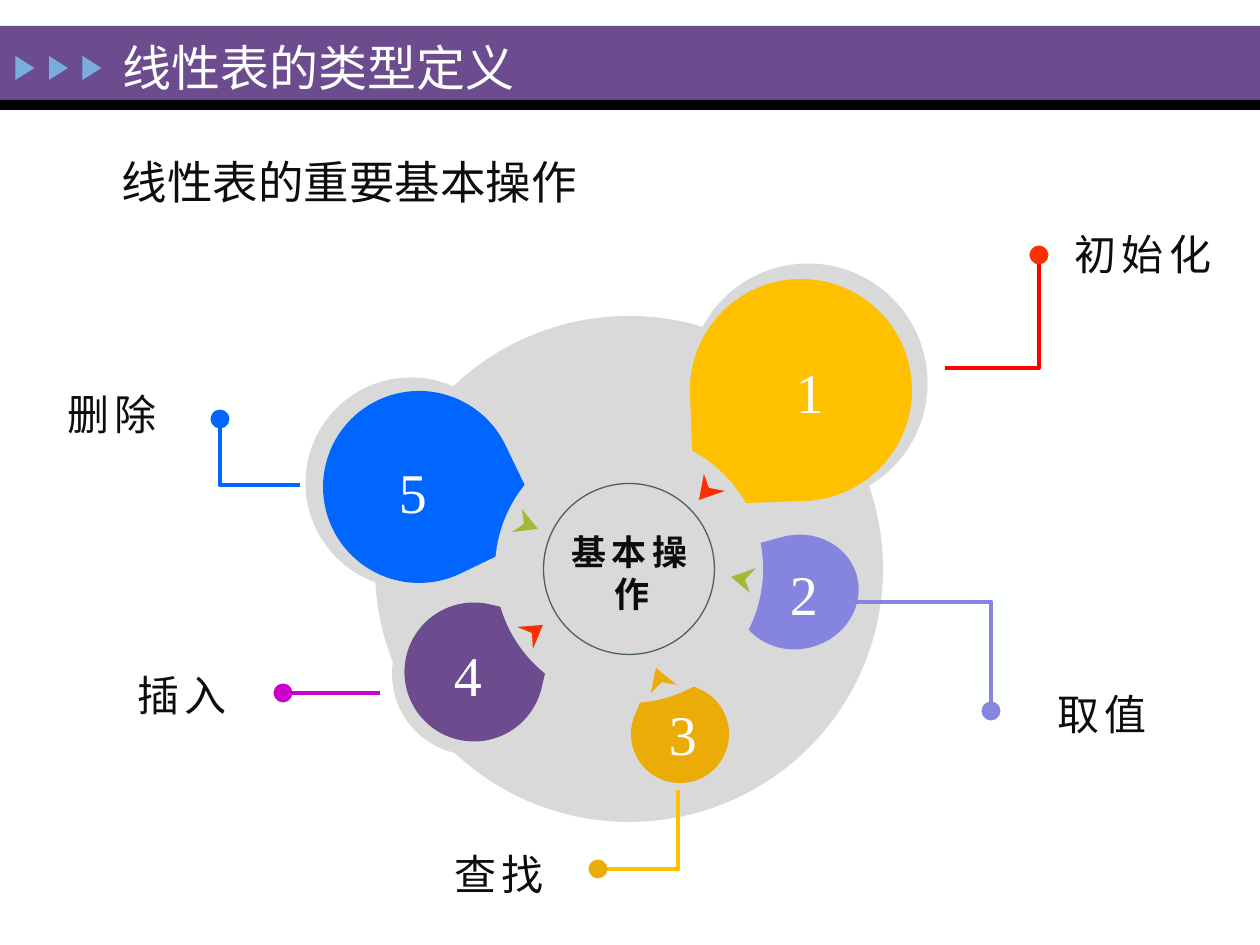
from collections import namedtuple
from dataclasses import dataclass

from lxml import etree
from pptx import Presentation
from pptx.dml.color import RGBColor
from pptx.enum.shapes import MSO_CONNECTOR, MSO_SHAPE
from pptx.enum.text import MSO_ANCHOR, MSO_AUTO_SIZE, PP_ALIGN
from pptx.oxml.ns import qn
from pptx.util import Pt

RECT, OVAL, TRIANGLE = MSO_SHAPE.RECTANGLE, MSO_SHAPE.OVAL, MSO_SHAPE.ISOSCELES_TRIANGLE
TEAR = MSO_SHAPE.TEAR
STRAIGHT = MSO_CONNECTOR.STRAIGHT
LEFT, CENTER = PP_ALIGN.LEFT, PP_ALIGN.CENTER
MIDDLE, TOP = MSO_ANCHOR.MIDDLE, MSO_ANCHOR.TOP
FIT_SHAPE, NO_FIT = MSO_AUTO_SIZE.SHAPE_TO_FIT_TEXT, MSO_AUTO_SIZE.NONE


@dataclass(frozen=True)
class Theme:
    font: str = "Times New Roman"
    paper: str = "FEFFFF"
    ink: str = "0D0D0D"
    white: str = "FFFFFF"
    band: str = "6C4C8F"
    rule: str = "000000"
    marker: str = "76AEDD"
    disc: str = "D9D9D9"
    core_line: str = "4C6062"
    title: int = 28
    body: int = 26
    label: int = 24
    number: int = 32
    core: int = 20


THEME = Theme()
Box = namedtuple("Box", "x y w h")
Drop = namedtuple("Drop", "center w h rotation color")
Callout = namedtuple("Callout", "text center width leader line dot weight")

HALOS = [
    Drop((179, -186), 239, 239, 177.6, THEME.disc),
    Drop((-218, -86), 211, 211, 64.7, THEME.disc),
    Drop((-156, 105), 162, 162, 8.5, THEME.disc),
]
PETALS = [
    Drop((172, -179), 222, 222, 177.9, "FFC000"),
    Drop((168, 23), 114, 124, 254.7, "8585E0"),
    Drop((51, 165), 98, 98, 293, "EBAC07"),
    Drop((-155, 103), 139, 139, 13.2, "6C4C8F"),
    Drop((-210, -82), 192, 192, 64.2, "0066FF"),
]
NUMBER_CENTERS = [(181, -178), (175, 24), (54, 163), (-161, 105), (-216, -78)]
ARROWS = [
    ([(96, -78), (70, -69), (75, -95), (80, -81)], "F83003"),
    ([(121, 24), (102, 8), (127, -1), (116, 11)], "A2B932"),
    ([(22, 124), (27, 99), (48, 116), (33, 113)], "EBAC07"),
    ([(-112, 58), (-86, 56), (-96, 80), (-97, 64)], "F83003"),
    ([(-107, -60), (-91, -40), (-117, -37), (-105, -45)], "A2B932"),
]
CALLOUTS = [
    Callout("初始化", (514, -316), 178, [(316, -201), (410, -201), (410, -314)],
            "FF0000", "F83003", 2.5),
    Callout("取值", (473, 145), 130, [(192, 33), (362, 33), (362, 142)],
            "8585E0", "8585E0", 2.5),
    Callout("查找", (-130, 305), 130, [(49, 221), (49, 300), (-31, 300)],
            "FFC000", "EBAC07", 2.5),
    Callout("插入", (-447, 126), 130, [(-249, 124), (-346, 124)],
            "CC00CC", "CC00CC", 2.25),
    Callout("删除", (-517, -155), 130, [(-329, -84), (-409, -84), (-409, -150)],
            "0066FF", "0066FF", 2.5),
]


def px(length):
    return round(length * 914400 / 126)


def rgb(color):
    return RGBColor.from_string(color)


def place(shape, box):
    shape.left, shape.top, shape.width, shape.height = map(px, box)


def centered(center, width, height):
    return Box(center[0] - width / 2, center[1] - height / 2, width, height)


def paint(shape, fill=None, line=None, weight=0):
    shape.shadow.inherit = False
    if fill:
        shape.fill.solid()
        shape.fill.fore_color.rgb = rgb(fill)
    else:
        shape.fill.background()
    if line:
        shape.line.color.rgb = rgb(line)
        shape.line.width = Pt(weight)
    else:
        shape.line.fill.background()


def add_preset(slide, kind, box, rotation=0, **colors):
    shape = slide.shapes.add_shape(kind, *map(px, box))
    shape.rotation = rotation
    paint(shape, **colors)


def add_outline(slide, points, close=True, **colors):
    start, *others = [(px(x), px(y)) for x, y in points]
    builder = slide.shapes.build_freeform(*start)
    builder.add_line_segments(others, close=close)
    paint(builder.convert_to_shape(), **colors)


def add_run(paragraph, text, size, color, bold=False, spacing=0):
    run = paragraph.add_run()
    run.text = text
    run.font.name, run.font.size, run.font.bold = THEME.font, Pt(size), bold
    run.font.color.rgb = rgb(color)
    if spacing:
        run.font._element.set("spc", str(spacing * 100))


def add_label(slide, text, box, size, color, bold=False, wrap=False):
    frame = slide.shapes.add_textbox(*map(px, box)).text_frame
    frame.word_wrap, frame.auto_size = wrap, FIT_SHAPE
    frame.margin_left = frame.margin_right = px(16)
    frame.margin_top = frame.margin_bottom = px(9)
    frame.paragraphs[0].alignment = CENTER
    add_run(frame.paragraphs[0], text, size, color, bold, spacing=3)


def fill_placeholder(placeholder, box, text, size, color, anchor):
    place(placeholder, box)
    frame = placeholder.text_frame
    frame.vertical_anchor, frame.auto_size = anchor, NO_FIT
    paragraph = frame.paragraphs[0]
    paragraph.alignment = LEFT
    add_run(paragraph, text, size, color)
    return paragraph


def header(slide, box, text):
    add_preset(slide, RECT, Box(box.x, box.y, box.w, 74), fill=THEME.band)
    add_preset(slide, RECT, Box(box.x, box.y + 74, box.w, 10), fill=THEME.rule)
    for i in range(3):
        marker = centered((box.x + 25 + 33.5 * i, box.y + 42), 24, 19)
        add_preset(slide, TRIANGLE, marker, rotation=90, fill=THEME.marker)
    title = slide.shapes.title
    fill_placeholder(title, Box(box.x + 110, box.y - 6, 848, 94), text,
                     THEME.title, THEME.paper, MIDDLE)
    slide.shapes._spTree.append(title._element)  # in front of the band


def subtitle(slide, box, text):
    paragraph = fill_placeholder(slide.placeholders[1], box, text, THEME.body, THEME.ink, TOP)
    paragraph.level = 1
    paragraph.space_before = Pt(5)
    properties = paragraph._p.get_or_add_pPr()
    properties.set("marL", str(px(102)))
    properties.set("indent", str(-px(39)))
    etree.SubElement(properties, qn("a:buNone"))


def add_leader(slide, points, color, weight):
    if len(points) > 2:
        add_outline(slide, points, close=False, line=color, weight=weight)
        return
    leader = slide.shapes.add_connector(STRAIGHT, *(px(n) for point in points for n in point))
    leader.line.color.rgb, leader.line.width = rgb(color), Pt(weight)
    etree.SubElement(leader._element.spPr, qn("a:effectLst"))


def operations_wheel(slide, box):
    """Draws the wheel in the box; all its parts are measured from the hub."""
    hub = (box.x + box.w / 2, box.y + box.h / 2)

    def at(point):
        return hub[0] + point[0], hub[1] + point[1]

    def add_drops(drops):
        for drop in drops:
            add_preset(slide, TEAR, centered(at(drop.center), drop.w, drop.h),
                       rotation=drop.rotation, fill=drop.color)

    add_drops(HALOS)
    add_preset(slide, OVAL, box, fill=THEME.disc)
    add_drops(PETALS)
    add_preset(slide, OVAL, centered(hub, 268, 268), fill=THEME.disc)
    for points, color in ARROWS:
        add_outline(slide, map(at, points), fill=color)
    add_preset(slide, OVAL, centered(hub, 171, 171), line=THEME.core_line)
    add_label(slide, "基本操作", centered(at((3, 4)), 166, 102), THEME.core, THEME.ink,
              bold=True, wrap=True)
    for callout in CALLOUTS:
        leader = [at(point) for point in callout.leader]
        add_leader(slide, leader, callout.line, callout.weight)
        add_preset(slide, OVAL, centered(leader[-1], 19, 19), fill=callout.dot)
        add_label(slide, callout.text, centered(at(callout.center), callout.width, 68),
                  THEME.label, THEME.ink)
    for number, center in enumerate(NUMBER_CENTERS, 1):
        add_label(slide, str(number), centered(at(center), 68, 84), THEME.number, THEME.white)


def main():
    deck = Presentation()
    deck.slide_width, deck.slide_height = px(1260), px(945)
    slide = deck.slides.add_slide(deck.slide_layouts[1])
    slide.background.fill.solid()
    slide.background.fill.fore_color.rgb = rgb(THEME.paper)
    header(slide, Box(0, 26, 1260, 84), "线性表的类型定义")
    subtitle(slide, Box(46, 148, 548, 76), "线性表的重要基本操作")
    operations_wheel(slide, Box(375, 316, 508, 506))
    deck.save("out.pptx")


if __name__ == "__main__":
    main()
